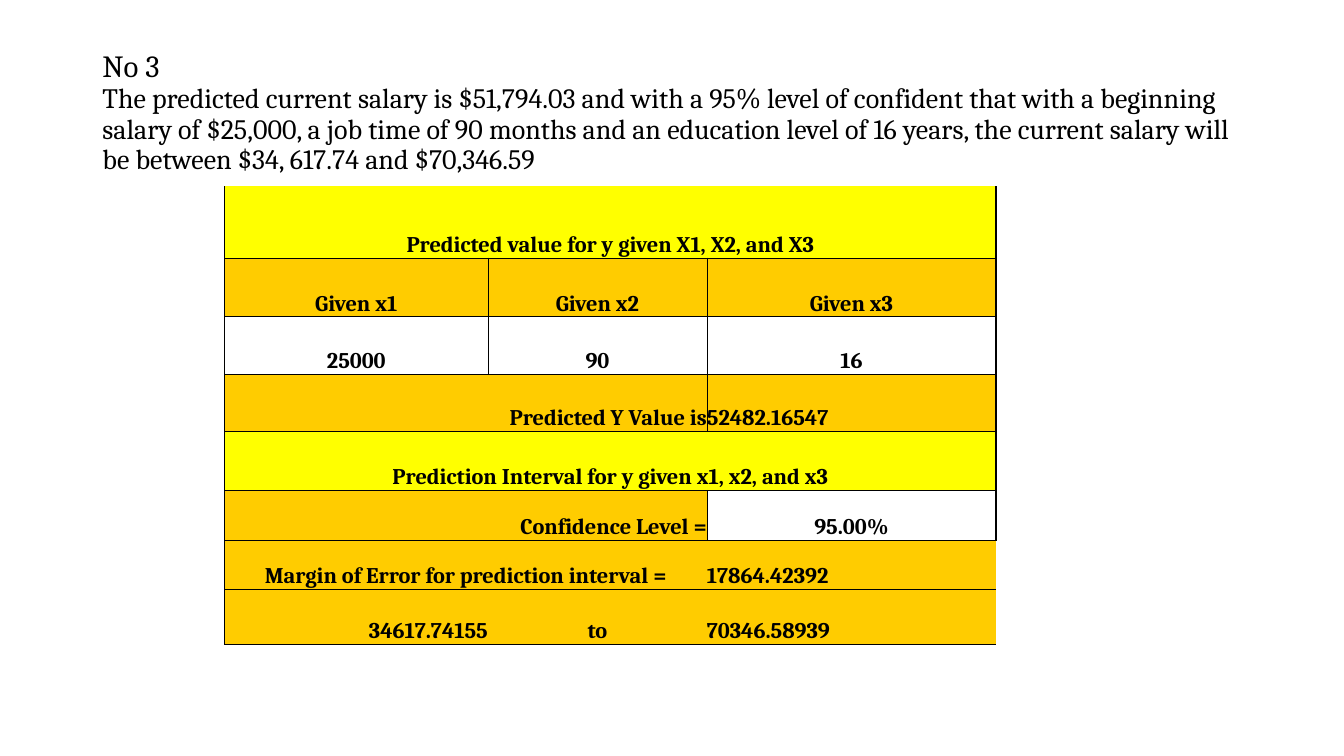
from lxml import etree
from pptx import Presentation
from pptx import util as u
from pptx.dml.color import RGBColor
from pptx.enum import text
from pptx.oxml import ns

FONT = "Cambria"
BLACK, WHITE, YELLOW, AMBER = "000000", "FFFFFF", "FFFF00", "FFCC00"
HEADING = "No 3"
ANSWER = (
    "The predicted current salary is $51,794.03 and with a 95% level of confident "
    "that with a beginning salary of $25,000, a job time of 90 months and an education "
    "level of 16 years, the current salary will be between $34, 617.74 and $70,346.59"
)
COLUMN_WIDTHS = [188, 156.5, 206.5]
# Row height, whether vertical rules are drawn, then cells: text, columns, alignment, fill
ROWS = [
    (51, True, [("Predicted value for y given X1, X2, and X3", 3, "CENTER", YELLOW)]),
    (42, True, [(f"Given x{i}", 1, "CENTER", AMBER) for i in (1, 2, 3)]),
    (41, True, [(value, 1, "CENTER", WHITE) for value in ("25000", "90", "16")]),
    (41, True, [("Predicted Y Value is", 2, "RIGHT", AMBER),
                ("52482.16547", 1, "LEFT", AMBER)]),
    (42, True, [("Prediction Interval for y given x1, x2, and x3", 3, "CENTER", YELLOW)]),
    (35.5, True, [("Confidence Level =", 2, "RIGHT", AMBER),
                  ("95.00%", 1, "CENTER", WHITE)]),
    (35, False, [("Margin of Error for prediction interval =", 2, "CENTER", AMBER),
                 ("17864.42392", 1, "LEFT", AMBER)]),
    (39.5, False, [("34617.74155", 1, "RIGHT", AMBER), ("to", 1, "CENTER", AMBER),
                   ("70346.58939", 1, "LEFT", AMBER)]),
]


def color(value):
    return RGBColor.from_string(value)


def format_span(span, size, bold):
    span.font.name, span.font.size, span.font.bold = FONT, u.Pt(size), bold
    span.font.color.rgb = color(BLACK)


def set_borders(cell, widths):
    """Draw left, right, top and bottom edges; a width of 0 leaves an edge out."""
    properties = cell._tc.get_or_add_tcPr()
    for position, (side, width) in enumerate(zip("LRTB", widths)):
        line = etree.Element(ns.qn(f"a:ln{side}"), w=str(u.Pt(width)))
        if width:
            fill = etree.SubElement(line, ns.qn("a:solidFill"))
            etree.SubElement(fill, ns.qn("a:srgbClr"), val=BLACK)
        else:
            etree.SubElement(line, ns.qn("a:noFill"))
        properties.insert(position, line)


def add_title(page):
    title = page.shapes.title
    title.left, title.top, title.width, title.height = map(u.Pt, (66, 28.8, 828, 104.4))
    frame = title.text_frame
    frame.text = f"{HEADING}\v{ANSWER}"
    frame.word_wrap = True
    frame.auto_size = text.MSO_AUTO_SIZE.NONE
    frame.vertical_anchor = text.MSO_ANCHOR.MIDDLE
    para = frame.paragraphs[0]
    para.alignment = text.PP_ALIGN.LEFT
    para.line_spacing = 0.9
    for span, size in zip(para.runs, (22, 20)):
        format_span(span, size, False)
    line_break = para._p.find(ns.qn("a:br"))
    etree.SubElement(line_break, ns.qn("a:rPr"), sz="2200")


def fill_cell(cell, words, alignment, fill):
    cell.text_frame.text = words
    cell.vertical_anchor = text.MSO_ANCHOR.BOTTOM
    para = cell.text_frame.paragraphs[0]
    para.alignment = text.PP_ALIGN[alignment]
    format_span(para.runs[0], 16, True)
    cell.fill.solid()
    cell.fill.fore_color.rgb = color(fill)


def add_prediction_table(page):
    heights = [row[0] for row in ROWS]
    last_row, column_count = len(ROWS) - 1, len(COLUMN_WIDTHS)
    table = page.shapes.add_table(
        len(ROWS), column_count, u.Pt(160.5), u.Pt(133.2),
        u.Pt(sum(COLUMN_WIDTHS)), u.Pt(sum(heights))).table
    table.first_row = table.horz_banding = False
    for column, width in zip(table.columns, COLUMN_WIDTHS):
        column.width = u.Pt(width)
    for r, (height, ruled, entries) in enumerate(ROWS):
        table.rows[r].height = u.Pt(height)
        start = 0
        for words, columns, alignment, fill in entries:
            end = start + columns
            cell = table.cell(r, start)
            if columns > 1:
                cell.merge(table.cell(r, end - 1))
            fill_cell(cell, words, alignment, fill)
            inner = 0.5 if ruled else 0
            left = inner if start else 1
            right = inner * 2 if end == column_count else inner
            top = 0.5 if r else 0
            bottom = 1 if r == last_row else 0.5
            for c in range(start, end):
                part = table.cell(r, c)
                part.margin_left = part.margin_right = 0
                part.margin_top = part.margin_bottom = 0
                set_borders(part, (0 if c > start else left, right, top, bottom))
            start = end


def main():
    deck = Presentation()
    deck.slide_width, deck.slide_height = u.Pt(960), u.Pt(540)
    page = deck.slides.add_slide(deck.slide_layouts[5])
    add_title(page)
    add_prediction_table(page)
    deck.save("out.pptx")


if __name__ == "__main__":
    main()
